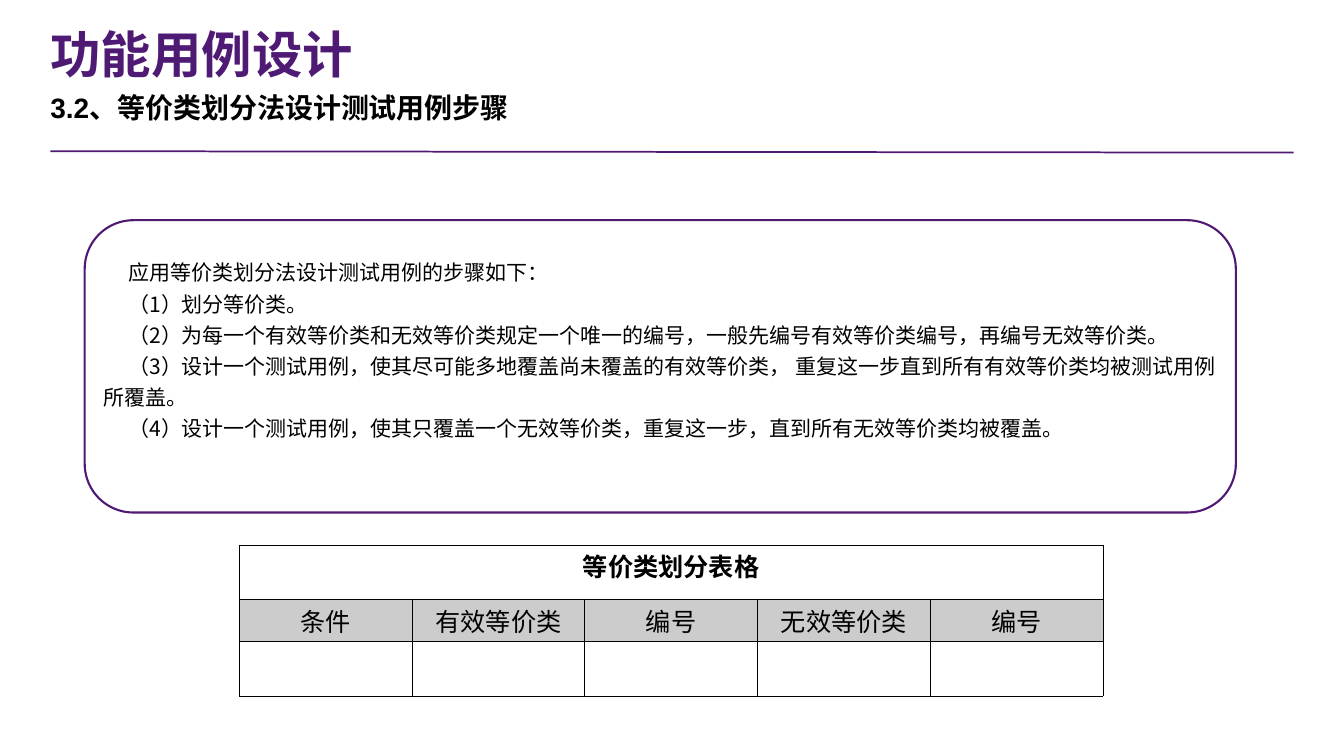
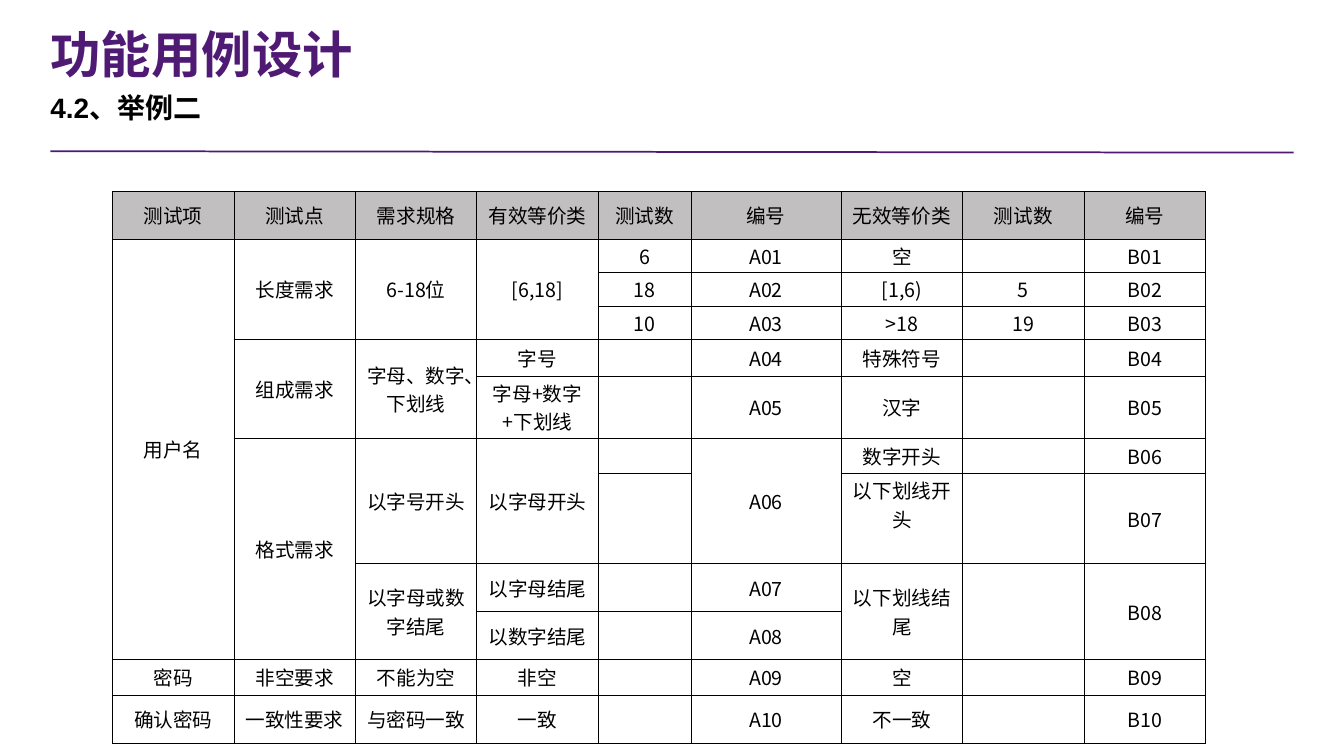
from lxml.etree import SubElement
from pptx import Presentation
from pptx.dml.color import RGBColor
from pptx.enum.shapes import MSO_CONNECTOR, MSO_SHAPE
from pptx.enum.text import MSO_ANCHOR, MSO_AUTO_SIZE, PP_ALIGN
from pptx.oxml.ns import qn
from pptx.util import Pt

PURPLE = RGBColor(0x4F, 0x1A, 0x74)
BLACK = RGBColor(0x00, 0x00, 0x00)
GREY = RGBColor(0xC1, 0xBF, 0xBF)
HEADING_FONT = "Arial"
BODY_FONT = "Noto Sans CJK SC"
SLIDE_SIZE = (1920, 1080)
TITLE = "功能用例设计"

STEPS = [
    "应用等价类划分法设计测试用例的步骤如下：",
    "（1）划分等价类。",
    "（2）为每一个有效等价类和无效等价类规定一个唯一的编号，一般先编号有效等价类编号，再编号无效等价类。",
    "（3）设计一个测试用例，使其尽可能多地覆盖尚未覆盖的有效等价类， 重复这一步直到所有有效等价类均被测试用例所覆盖。",
    "（4）设计一个测试用例，使其只覆盖一个无效等价类，重复这一步，直到所有无效等价类均被覆盖。",
]

PARTITION_ROWS = [
    ["等价类划分表格", "", "", "", ""],
    ["条件", "有效等价类", "编号", "无效等价类", "编号"],
    [""] * 5,
]

# None continues the cell above
EXAMPLE_ROWS = [
    ["测试项", "测试点", "需求规格", "有效等价类", "测试数", "编号", "无效等价类", "测试数", "编号"],
    ["用户名", "长度需求", "6-18位", "[6,18]", "6", "A01", "空", "", "B01"],
    [None, None, None, None, "18", "A02", "[1,6)", "5", "B02"],
    [None, None, None, None, "10", "A03", ">18", "19", "B03"],
    [None, "组成需求", "字母、数字、下划线", "字号", "", "A04", "特殊符号", "", "B04"],
    [None, None, None, "字母+数字+下划线", "", "A05", "汉字", "", "B05"],
    [None, "格式需求", "以字号开头", "以字母开头", "", "A06", "数字开头", "", "B06"],
    [None, None, None, None, "", None, "以下划线开头", "", "B07"],
    [None, None, "以字母或数字结尾", "以字母结尾", "", "A07", "以下划线结尾", "", "B08"],
    [None, None, None, "以数字结尾", "", "A08", None, None, None],
    ["密码", "非空要求", "不能为空", "非空", "", "A09", "空", "", "B09"],
    ["确认密码", "一致性要求", "与密码一致", "一致", "", "A10", "不一致", "", "B10"],
]
EXAMPLE_WIDTHS = [173.5] * 4 + [132.5, 214.5] + [173.5] * 3
EXAMPLE_HEIGHTS = [68.4, 41, 41, 41, 52.6, 78.5, 51, 108, 68.4, 68.4, 51, 68.4]


def format_runs(paragraph, size, font=BODY_FONT, color=BLACK, bold=False):
    for run in paragraph.runs:
        run.font.size = Pt(size)
        run.font.bold = bold
        run.font.color.rgb = color
        run.font.name = font
        if font == BODY_FONT:
            SubElement(run._r.get_or_add_rPr(), qn("a:ea"), typeface=font)


def set_frame(frame, anchor, insets):
    frame.word_wrap = True
    frame.auto_size = MSO_AUTO_SIZE.NONE
    frame.vertical_anchor = anchor
    (frame.margin_left, frame.margin_top,
     frame.margin_right, frame.margin_bottom) = [Pt(inset) for inset in insets]


def add_heading(slide, box, subtitle_text, subtitle_width):
    """Title, subtitle and the rule below them."""
    left, top, width, height = box
    title = slide.shapes.title
    title.left, title.top, title.width, title.height = Pt(left), Pt(top), Pt(width), Pt(96)
    title.text_frame.text = TITLE
    set_frame(title.text_frame, MSO_ANCHOR.BOTTOM, [0] * 4)
    title.text_frame.paragraphs[0].alignment = PP_ALIGN.LEFT
    format_runs(title.text_frame.paragraphs[0], 72, HEADING_FONT, PURPLE, True)

    subtitle = slide.shapes.add_textbox(Pt(left), Pt(top + 96), Pt(subtitle_width), Pt(72))
    subtitle.text_frame.text = subtitle_text
    set_frame(subtitle.text_frame, MSO_ANCHOR.TOP, [0] * 4)
    subtitle.text_frame.paragraphs[0].line_spacing = 1.2
    format_runs(subtitle.text_frame.paragraphs[0], 40, HEADING_FONT, BLACK, True)

    rule = slide.shapes.add_connector(
        MSO_CONNECTOR.STRAIGHT, Pt(left), Pt(top + height - 2), Pt(left + width), Pt(top + height))
    rule.line.color.rgb = PURPLE
    rule.line.width = Pt(2.5)
    SubElement(rule._element.spPr, qn("a:effectLst"))


def add_steps(slide, box):
    """Rounded frame holding the design steps."""
    frame = slide.shapes.add_shape(MSO_SHAPE.ROUNDED_RECTANGLE, *[Pt(length) for length in box])
    frame.shadow.inherit = False
    frame.fill.background()
    frame.line.color.rgb = PURPLE
    frame.line.width = Pt(3)
    # The deeper bottom inset leaves one line free under the steps
    set_frame(frame.text_frame, MSO_ANCHOR.MIDDLE, [6, 6, 6, 60])
    for number, step in enumerate(STEPS):
        paragraph = frame.text_frame.paragraphs[0] if number == 0 else frame.text_frame.add_paragraph()
        paragraph.text = step
        paragraph.alignment = PP_ALIGN.LEFT
        paragraph.line_spacing = 1.24
        paragraph._p.get_or_add_pPr().set("indent", str(Pt(36)))
        format_runs(paragraph, 30)


def add_borders(cell):
    properties = cell._tc.get_or_add_tcPr()
    for position, side in enumerate(["lnL", "lnR", "lnT", "lnB"]):
        border = properties.makeelement(qn(f"a:{side}"), {"w": str(Pt(1))})
        fill = SubElement(border, qn("a:solidFill"))
        SubElement(fill, qn("a:srgbClr"), val=str(BLACK))
        properties.insert(position, border)


def add_grid(slide, left, top, rows, widths, heights, size, anchor):
    """Bordered table of centred text, with None cells merged upwards."""
    table = slide.shapes.add_table(
        len(rows), len(widths), Pt(left), Pt(top), Pt(sum(widths)), Pt(sum(heights))).table
    table.first_row = table.horz_banding = False
    for column, width in zip(table.columns, widths):
        column.width = Pt(width)
    for row, height in zip(table.rows, heights):
        row.height = Pt(height)
    for r, texts in enumerate(rows):
        for c, text in enumerate(texts):
            cell = table.cell(r, c)
            cell.fill.background()
            add_borders(cell)
            if text:
                cell.text_frame.text = text
                cell.vertical_anchor = anchor
                cell.text_frame.paragraphs[0].alignment = PP_ALIGN.CENTER
                format_runs(cell.text_frame.paragraphs[0], size)
    # Vertical spans
    for c in range(len(widths)):
        for r in range(len(rows)):
            end = r
            while end + 1 < len(rows) and rows[end + 1][c] is None:
                end += 1
            if rows[r][c] is not None and end > r:
                table.cell(r, c).merge(table.cell(end, c))
    return table


def fill_row(table, row, color, opacity=100):
    for cell in table.rows[row].cells:
        cell.fill.solid()
        cell.fill.fore_color.rgb = color
        if opacity < 100:
            shade = cell._tc.tcPr.find(qn("a:solidFill"))[0]
            SubElement(shade, qn("a:alpha"), val=str(opacity * 1000))


def add_partition_table(slide, left, top):
    table = add_grid(slide, left, top, PARTITION_ROWS, [246.7] * 5, [78, 60, 78], 36, MSO_ANCHOR.TOP)
    table.cell(0, 0).merge(table.cell(0, 4))
    table.cell(0, 0).text_frame.paragraphs[0].runs[0].font.bold = True
    fill_row(table, 1, BLACK, 20)


def add_example_table(slide, left, top):
    table = add_grid(slide, left, top, EXAMPLE_ROWS, EXAMPLE_WIDTHS, EXAMPLE_HEIGHTS,
                     28, MSO_ANCHOR.MIDDLE)
    fill_row(table, 0, GREY)
    # One line stays free under this entry
    table.cell(7, 6).margin_bottom = Pt(44)


def main():
    presentation = Presentation()
    presentation.slide_width, presentation.slide_height = [Pt(length) for length in SLIDE_SIZE]
    title_only = presentation.slide_layouts[5]
    heading_box = (72, 24, 1776, 194)

    steps_slide = presentation.slides.add_slide(title_only)
    add_steps(steps_slide, (121, 314.6, 1644.5, 417.6))
    add_heading(steps_slide, heading_box, "3.2、等价类划分法设计测试用例步骤", 1398)
    add_partition_table(steps_slide, 342, 778.3)

    example_slide = presentation.slides.add_slide(title_only)
    add_heading(example_slide, heading_box, "4.2、举例二", 1776)
    add_example_table(example_slide, 160.6, 273.6)

    presentation.save("out.pptx")


if __name__ == "__main__":
    main()
